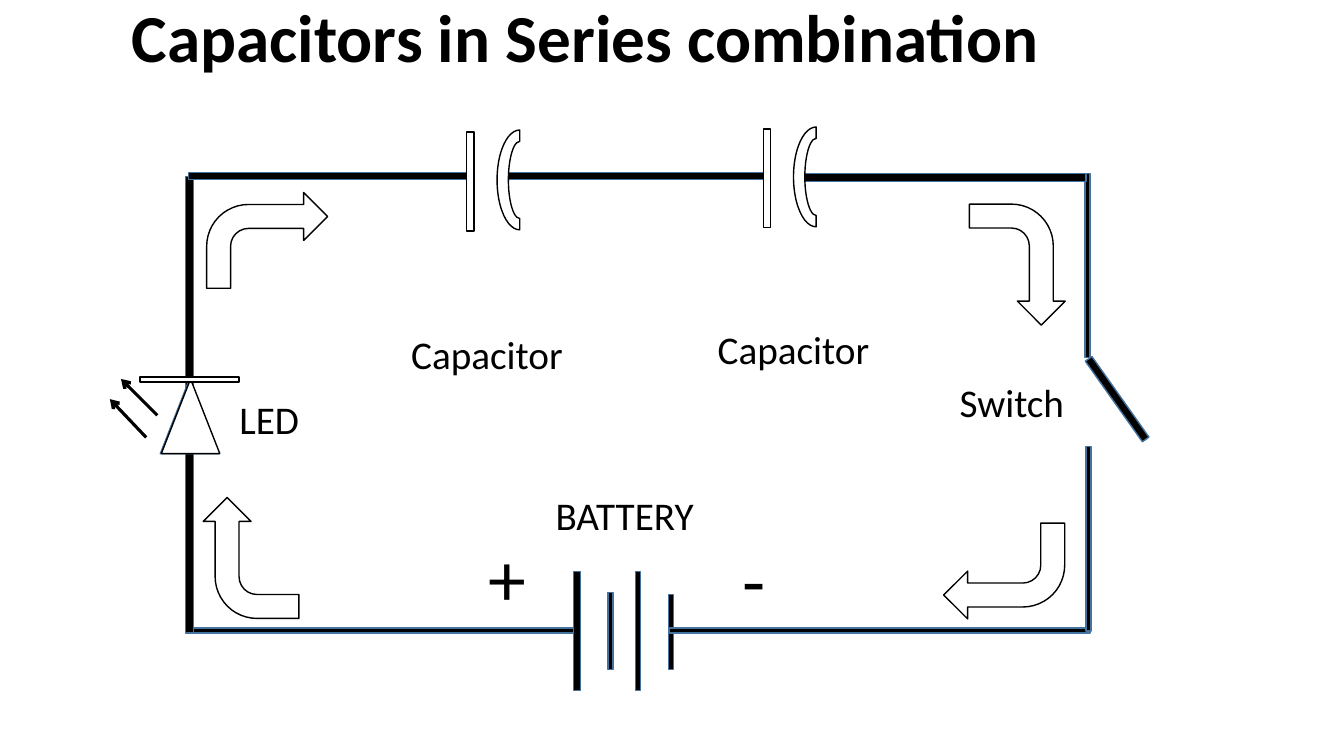
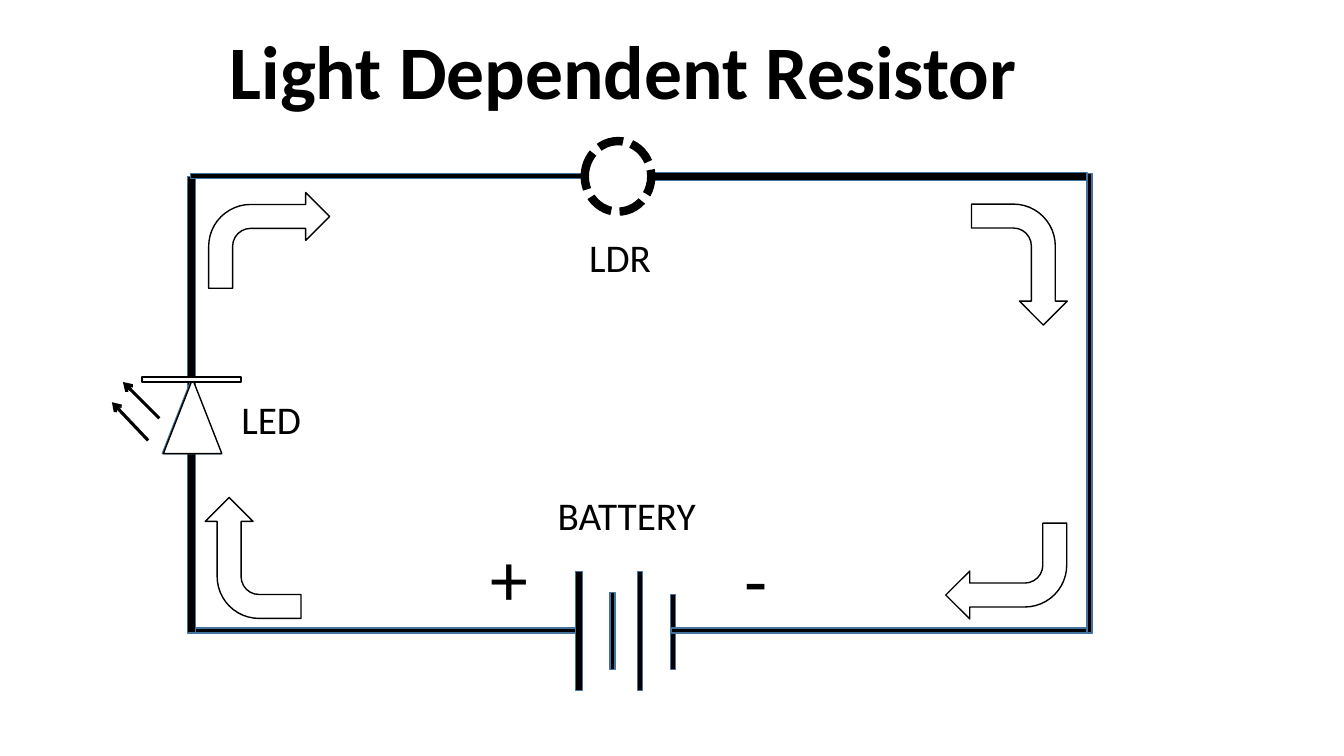
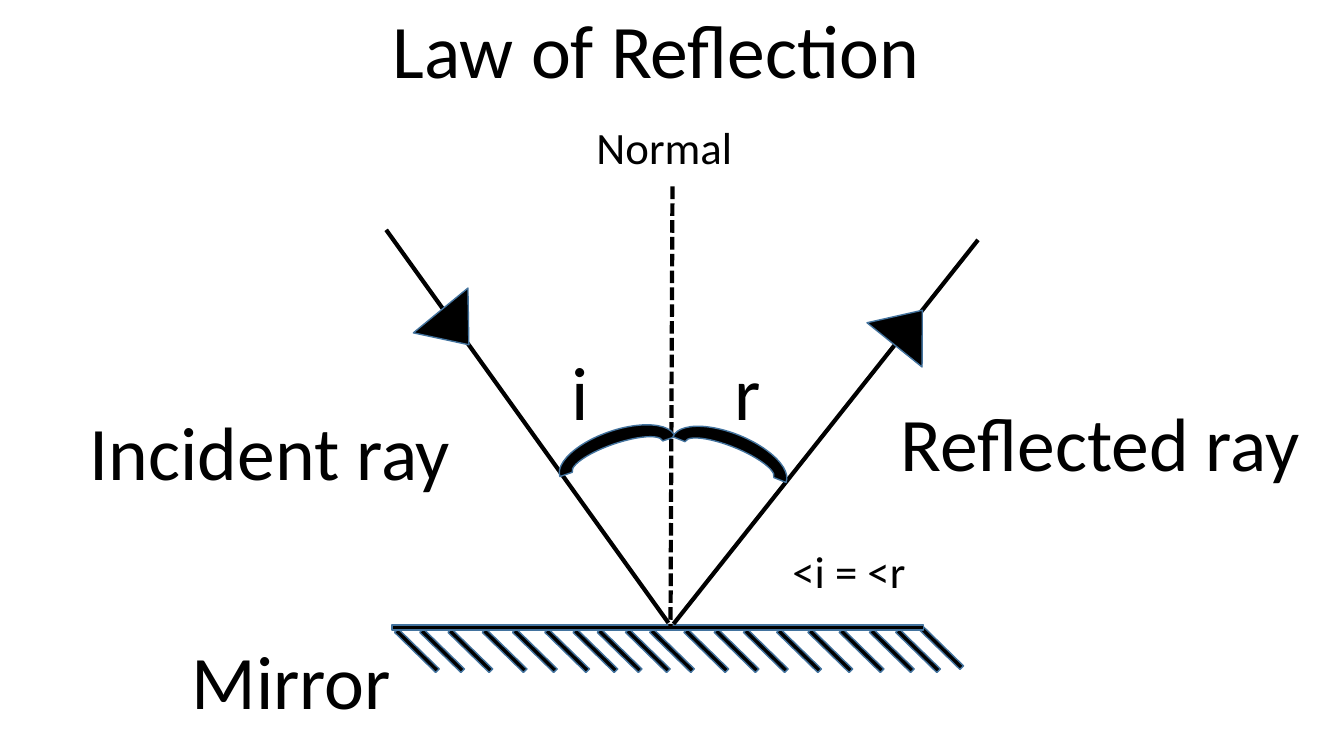
from lxml import etree
from pptx import Presentation
from pptx import util as u
from pptx.dml.color import RGBColor
from pptx.enum import dml, shapes, text
from pptx.oxml.ns import qn

BLACK = RGBColor(0x00, 0x00, 0x00)
WHITE = RGBColor(0xFF, 0xFF, 0xFF)
BLUE = RGBColor(0x5B, 0x9B, 0xD5)
EDGE = RGBColor(0x43, 0x73, 0x9E)
FONT = "Calibri"
DASH = dml.MSO_LINE.SQUARE_DOT
KIND = shapes.MSO_SHAPE
ALIGN = text.PP_ALIGN


class Deck:
    def __init__(self):
        self.prs = Presentation()
        self.prs.slide_width = u.Inches(13.33)
        self.prs.slide_height = u.Inches(7.5)
        self.slide = None

    def page(self):
        self.slide = self.prs.slides.add_slide(self.prs.slide_layouts[6])

    def label(self, words, x, y, w, h, size=28, bold=False,
              align=ALIGN.CENTER, wrap=False):
        box = self.slide.shapes.add_textbox(*map(u.Inches, (x, y, w, h)))
        frame = box.text_frame
        frame.word_wrap = wrap
        frame.auto_size = text.MSO_AUTO_SIZE.SHAPE_TO_FIT_TEXT
        para = frame.paragraphs[0]
        para.alignment = align
        run = para.add_run()
        run.text = words
        run.font.name = FONT
        run.font.size = u.Pt(size)
        run.font.bold = bold
        run.font.color.rgb = BLACK

    def shape(self, kind, x, y, w, h, turn=0, fill=WHITE, edge=BLACK,
              width=1, dash=None):
        item = self.slide.shapes.add_shape(kind, *map(u.Inches, (x, y, w, h)))
        item.shadow.inherit = False
        item.rotation = turn
        item.fill.solid()
        item.fill.fore_color.rgb = fill
        item.line.color.rgb = edge
        item.line.width = u.Pt(width)
        if dash:
            item.line.dash_style = dash

    def solid(self, kind, x, y, w, h, turn=0):
        self.shape(kind, x, y, w, h, turn, BLACK, EDGE)

    def wire(self, x, y, w, h, turn=0):
        self.solid(KIND.FLOWCHART_PROCESS, x, y, w, h, turn)

    def line(self, x1, y1, x2, y2, width=3, dash=None, arrow=False):
        link = self.slide.shapes.add_connector(
            shapes.MSO_CONNECTOR.STRAIGHT, *map(u.Inches, (x1, y1, x2, y2)))
        link.line.color.rgb = BLACK
        link.line.width = u.Pt(width)
        if dash:
            link.line.dash_style = dash
        props = link._element.spPr
        if arrow:
            etree.SubElement(props.find(qn("a:ln")), qn("a:tailEnd"), type="arrow")
        etree.SubElement(props, qn("a:effectLst"))

    def plates(self, x, y):
        self.shape(KIND.FLOWCHART_PROCESS, x, y, 0.07, 0.98)
        self.shape(KIND.BLOCK_ARC, x + 0.03, y + 0.25, 0.99, 0.45, 270)

    def cell(self, dx):
        for x, y, w, h in ((5.69, 5.67, 0.07, 1.18), (6.03, 5.88, 0.05, 0.76),
                           (6.3, 5.67, 0.05, 1.18), (6.63, 5.9, 0.05, 0.74)):
            self.solid(KIND.RECTANGLE, x + dx, y, w, h)
        self.label("+", 4.7 + dx, 5.22, 0.66, 1.01, size=54)
        self.label("-", 7.15 + dx, 5.24, 0.66, 1.01, size=54)
        self.label("BATTERY", 5.35 + dx, 4.83, 1.69, 0.57)

    def diode(self, dx, dy):
        self.shape(KIND.ISOSCELES_TRIANGLE, 1.59 + dx, 3.76, 0.58, 0.74,
                   fill=BLUE, edge=EDGE)
        self.shape(KIND.ISOSCELES_TRIANGLE, 1.6 + dx, 3.76, 0.58, 0.74)
        self.shape(KIND.FLOWCHART_PROCESS, 1.39 + dx, 3.74, 0.98, 0.05)
        self.label("LED", 2.27 + dx, 3.87, 0.8, 0.57)
        for x, y, rise in ((1.56, 4.12, 0.36), (1.45, 4.34, 0.38)):
            self.line(x + dx, y + dy, x + dx - 0.36, y + dy - rise,
                      width=2.25, arrow=True)

    def loop(self, wires, dx=0, dy=0):
        self.cell(dx)
        self.wire(1.89 + dx, 6.23, 3.8, 0.05)
        self.wire(6.64 + dx, 6.23, 4.17, 0.05)
        self.wire(1.84 + dx, 1.75, 0.08, 4.53)
        for spot in wires:
            self.wire(*spot)
        self.diode(dx, dy)
        corners = ((2.05, 1.91), (9.49, 2.15), (9.36, 5.19), (1.89, 5.06))
        for i, (x, y) in enumerate(corners):
            self.shape(KIND.BENT_ARROW, x + dx, y, 1.2, 0.95, 90 * i)


def series(deck):
    deck.page()
    deck.label("Capacitors in Series combination", 1.21, -0.1, 9.33, 0.91,
               size=48, bold=True, align=ALIGN.LEFT, wrap=True)
    deck.loop(((10.76, 1.72, 0.05, 1.83), (1.87, 1.71, 2.77, 0.07),
               (5.04, 1.71, 2.56, 0.07), (7.94, 1.72, 2.83, 0.08),
               (10.77, 4.43, 0.05, 1.83), (10.59, 3.92, 0.98, 0.08, 54.7)))
    deck.plates(4.63, 1.31)
    deck.plates(7.57, 1.28)
    deck.label("Capacitor", 3.97, 3.23, 1.72, 0.57)
    deck.label("Capacitor", 7.01, 3.18, 1.72, 0.57)
    deck.label("Switch", 9.41, 3.7, 1.25, 0.57)


def light(deck):
    deck.page()
    deck.label("Light Dependent Resistor", 2.18, 0.19, 8.08, 1.01,
               size=54, bold=True, align=ALIGN.LEFT)
    deck.loop(((10.78, 1.72, 0.05, 4.56), (1.89, 1.72, 3.89, 0.05),
               (6.49, 1.71, 4.29, 0.08)), dx=0.02, dy=0.03)
    deck.shape(KIND.OVAL, 5.8, 1.4, 0.66, 0.7, width=6, dash=DASH)
    deck.label("LDR", 5.74, 2.27, 0.82, 0.57)


def mirror(deck):
    deck.page()
    deck.wire(9.05, 6.4, 0.57, 0.05, 44.3)
    for x in (8.82, 8.56, 8.26, 7.95, 7.64, 7.31, 7.02, 6.72, 6.38, 6.14,
              5.86, 5.62, 5.34, 5.02, 4.72, 4.38, 4.1, 3.85):
        deck.wire(x, 6.43, 0.57, 0.05, 44.3)
    deck.wire(3.89, 6.2, 5.27, 0.05)
    deck.line(6.67, 1.85, 6.65, 6.24, dash=DASH)
    deck.line(3.83, 2.28, 6.63, 6.18)
    deck.line(9.7, 2.38, 6.68, 6.19)
    for x, turn in ((4.16, 140.6), (8.66, 38.8)):
        deck.solid(KIND.ISOSCELES_TRIANGLE, x, 3.03, 0.7, 0.44, turn)
    for x, y, turn in ((5.52, 4.27, 340.9), (6.63, 4.3, 22)):
        deck.solid(KIND.BLOCK_ARC, x, y, 1.21, 0.52, turn)
    for words, x, y, w in (("i", 5.56, 3.37, 0.38), ("r", 7.18, 3.37, 0.47),
                           ("Mirror", 1.79, 6.24, 2.2),
                           ("Incident ray", 0.77, 3.97, 3.82),
                           ("Reflected ray", 8.81, 3.88, 4.21),
                           ("Law of Reflection", 3.76, -0.02, 5.49)):
        deck.label(words, x, y, w, 1.01, size=54)
    deck.label("Normal", 5.79, 1.14, 1.6, 0.63, size=32, wrap=True)
    deck.label("<i = <r", 7.62, 5.34, 1.6, 0.63, size=32, wrap=True)


def main():
    deck = Deck()
    series(deck)
    light(deck)
    mirror(deck)
    deck.prs.save("out.pptx")


if __name__ == "__main__":
    main()
